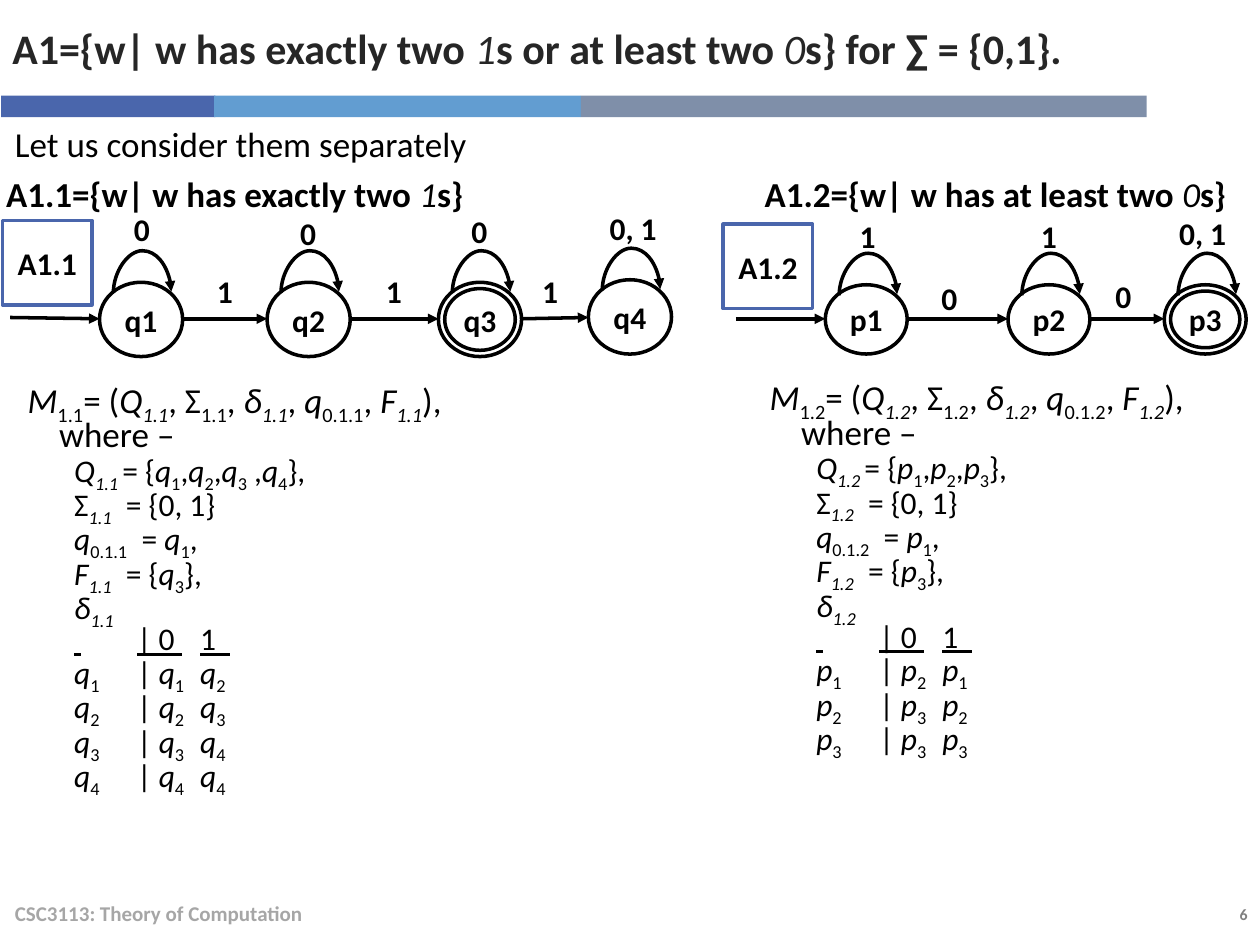
from lxml.etree import SubElement
from pptx import Presentation
from pptx.dml.color import RGBColor
from pptx.enum.shapes import MSO_CONNECTOR as Connector, MSO_SHAPE as Shape
from pptx.enum.text import MSO_ANCHOR as Anchor, PP_ALIGN as Align
from pptx.oxml.ns import qn
from pptx.util import Inches, Pt

BLACK = RGBColor(0x00, 0x00, 0x00)
WHITE = RGBColor(0xFF, 0xFF, 0xFF)
INK = RGBColor(0x26, 0x26, 0x26)
GREY = RGBColor(0x80, 0x80, 0x80)
PALE_GREY = RGBColor(0xA6, 0xA6, 0xA6)
BLUE = RGBColor(0x4A, 0x66, 0xAC)
SKY = RGBColor(0x62, 0x9D, 0xD1)
SLATE = RGBColor(0x7F, 0x8F, 0xA9)

MARKS = "*_~"
LOOP_SPAN, LOOP_DROP, LOOP_BULGE = 0.46, 0.01, 0.34


def box(left, top, width, height):
    return Inches(left), Inches(top), Inches(width), Inches(height)


def write(paragraph, markup, size, color=BLACK, bold=False):
    """Write text where * marks italics, _ subscripts and ~ underlines."""
    paragraph.font.name = "Calibri"
    paragraph.font.size = Pt(size)
    paragraph.font.color.rgb = color
    active, chunk = set(), ""
    for character in markup + MARKS[0]:
        if character not in MARKS:
            chunk += character
            continue
        if chunk:
            run = paragraph.add_run()
            run.text = chunk
            run.font.bold = bold and "*" not in active
            run.font.italic = "*" in active
            run.font.underline = "~" in active
            if "_" in active:
                run._r.get_or_add_rPr().set("baseline", "-25000")
        active ^= {character}
        chunk = ""


def add_text(slide, bounds, markup, size, color=BLACK, bold=True,
             align=Align.LEFT, anchor=Anchor.TOP):
    frame = slide.shapes.add_textbox(*box(*bounds)).text_frame
    frame.word_wrap = True
    frame.vertical_anchor = anchor
    frame.paragraphs[0].alignment = align
    write(frame.paragraphs[0], markup, size, color, bold)


def add_figure(slide, kind, bounds, fill=None, line=None, text=""):
    shape = slide.shapes.add_shape(kind, *box(*bounds))
    shape.shadow.inherit = False
    if fill is None:
        shape.fill.background()
    else:
        shape.fill.solid()
        shape.fill.fore_color.rgb = fill
    if line is None:
        shape.line.fill.background()
    else:
        shape.line.color.rgb = line
        shape.line.width = Pt(2)
    if text:
        frame = shape.text_frame
        frame.word_wrap = False
        frame.margin_left = frame.margin_right = 0
        frame.vertical_anchor = Anchor.MIDDLE
        frame.paragraphs[0].alignment = Align.CENTER
        write(frame.paragraphs[0], text, 18, bold=True)


def add_arrow(slide, kind, start, end):
    arrow = slide.shapes.add_connector(
        kind, *(Inches(value) for value in (*start, *end)))
    arrow.line.color.rgb = BLACK
    arrow.line.width = Pt(2)
    SubElement(arrow.line._get_or_add_ln(), qn("a:tailEnd"), type="triangle")
    SubElement(arrow._element.spPr, qn("a:effectLst"))
    return arrow


def add_loop(slide, left, top):
    """Draw a self-transition above the state at the given corner."""
    x, y = left + 0.34, top + 0.08
    half_drop, half_span = LOOP_DROP / 2, LOOP_SPAN / 2
    loop = add_arrow(slide, Connector.CURVE, (x + half_drop, y + half_span),
                     (x - half_drop, y - half_span))
    properties = loop._element.spPr
    properties.find(qn("a:xfrm")).set("rot", "5400000")
    guides = properties.find(qn("a:prstGeom")).find(qn("a:avLst"))
    ratio = round(LOOP_BULGE / LOOP_DROP * 100000)
    SubElement(guides, qn("a:gd"), name="adj1", fmla=f"val {ratio}")


def add_state(slide, name, bounds, accepting):
    left, top, width, height = bounds
    add_figure(slide, Shape.OVAL, bounds, WHITE, BLACK, name)
    if accepting:
        inner = (left + 0.05, top + 0.05, width - 0.1, height - 0.1)
        add_figure(slide, Shape.OVAL, inner, line=BLACK)
    add_loop(slide, left, top)


def add_automaton(slide, name, corner, states, size, accepting, arrows, labels):
    add_figure(slide, Shape.RECTANGLE, (*corner, 0.71, 0.67), WHITE, BLUE, name)
    for state, left, top in states:
        add_state(slide, state, (left, top, *size), state == accepting)
    for start, end in arrows:
        add_arrow(slide, Connector.STRAIGHT, start, end)
    for text, left, top in labels:
        add_text(slide, (left, top, 0.65, 0.45), text, 18,
                 align=Align.CENTER, anchor=Anchor.MIDDLE)


def add_definition(slide, bounds, index, letter, states, transitions):
    """Write the formal definition and transition table of one automaton."""
    def state(number):
        return f"*{letter}*_{number}_"

    lines = [
        (f"*M*_{index}_= (*Q_{index}_*, Σ_{index}_, *δ_{index}_*, "
         f"*q*_0.{index}_, *F_{index}_*),", 20, 0.25, -0.25),
        ("where –", 20, 0.25, 0),
    ]
    details = [
        f"*Q_{index} _*= {{{states}}},",
        f"Σ*_{index}_*  = {{0, 1}}",
        f"*q*_0.{index}_  = {state(1)},",
        f"*F_{index}_*  = {{{state(3)}}},",
        f"*δ_{index}_*",
    ]
    rows = ["~ \t| 0 \t1  ~"] + [
        f"{state(number)}\t| {state(zero)}\t{state(one)}"
        for number, (zero, one) in enumerate(transitions, 1)]
    lines += [(detail, 18, 0.62, -0.25) for detail in details]
    lines += [(row, 18, 0.37, 0) for row in rows]

    frame = slide.shapes.add_textbox(*box(*bounds)).text_frame
    frame.word_wrap = True
    for position, (markup, size, margin, indent) in enumerate(lines):
        paragraph = frame.add_paragraph() if position else frame.paragraphs[0]
        paragraph.line_spacing = 0.8
        properties = paragraph._p.get_or_add_pPr()
        properties.set("marL", str(Inches(margin)))
        properties.set("indent", str(Inches(indent)))
        if "\t" in markup:
            tabs = SubElement(properties, qn("a:tabLst"))
            for stop in (1, 2):
                SubElement(tabs, qn("a:tab"), pos=str(Inches(stop)), algn="l")
        write(paragraph, markup, size)


def main():
    presentation = Presentation()
    presentation.slide_width, presentation.slide_height = Inches(10), Inches(7.5)
    slide = presentation.slides.add_slide(presentation.slide_layouts[6])

    for left, width, color in ((0.01, 1.7, BLUE), (1.7, 2.91, SKY), (4.61, 4.49, SLATE)):
        add_figure(slide, Shape.RECTANGLE, (left, 0.76, width, 0.17), color)
    add_text(slide, (8.73, 7.13, 1.27, 0.25), "6", 9, GREY, align=Align.RIGHT)
    add_text(slide, (0.02, 7.05, 6.7, 0.4), "CSC3113: Theory of Computation", 12,
             PALE_GREY, anchor=Anchor.MIDDLE)
    add_text(slide, (0, 0, 9.1, 0.76),
             "A1={w| w has exactly two *1*s or at least two *0*s} for ∑ = {0,1}.",
             24, INK, anchor=Anchor.MIDDLE)
    add_text(slide, (0.02, 0.92, 4.28, 0.44), "Let us consider them separately", 20, bold=False)
    add_text(slide, (-0.05, 1.32, 4.08, 0.44), "A1.1={w| w has exactly two *1*s}", 20)
    add_text(slide, (5.97, 1.32, 3.88, 0.44), "A1.2={w| w has at least two *0*s}", 20)

    add_automaton(
        slide, "A1.1", (0.02, 1.75),
        [("q1", 0.79, 2.24), ("q2", 2.12, 2.24), ("q3", 3.48, 2.24), ("q4", 4.67, 2.22)],
        (0.66, 0.59), "q3",
        [((0.08, 2.52), (0.79, 2.53)), ((1.45, 2.53), (2.12, 2.53)),
         ((2.78, 2.53), (3.48, 2.53)), ((4.14, 2.53), (4.67, 2.52))],
        [("0", 0.8, 1.59), ("1", 1.46, 2.08), ("0", 2.12, 1.62), ("1", 2.8, 2.08),
         ("0", 3.48, 1.61), ("1", 4.04, 2.08), ("0, 1", 4.7, 1.58)])
    add_automaton(
        slide, "A1.2", (5.74, 1.78),
        [("p1", 6.55, 2.26), ("p2", 8, 2.26), ("p3", 9.24, 2.26)],
        (0.65, 0.55), "p3",
        [((5.84, 2.53), (6.55, 2.53)), ((7.21, 2.53), (8, 2.53)),
         ((8.65, 2.53), (9.24, 2.53))],
        [("1", 6.56, 1.65), ("0", 7.21, 2.14), ("1", 8, 1.65), ("0", 8.59, 2.12),
         ("0, 1", 9.22, 1.62)])

    add_definition(slide, (0.12, 2.99, 4.18, 3.07), "1.1", "q",
                   "*q*_1_,*q*_2_,*q*_3_ ,*q*_4_", [(1, 2), (2, 3), (3, 4), (4, 4)])
    add_definition(slide, (6.01, 2.97, 3.85, 2.83), "1.2", "p",
                   "*p*_1_,*p*_2_,*p*_3_", [(2, 1), (3, 2), (3, 3)])
    presentation.save("out.pptx")


if __name__ == "__main__":
    main()
